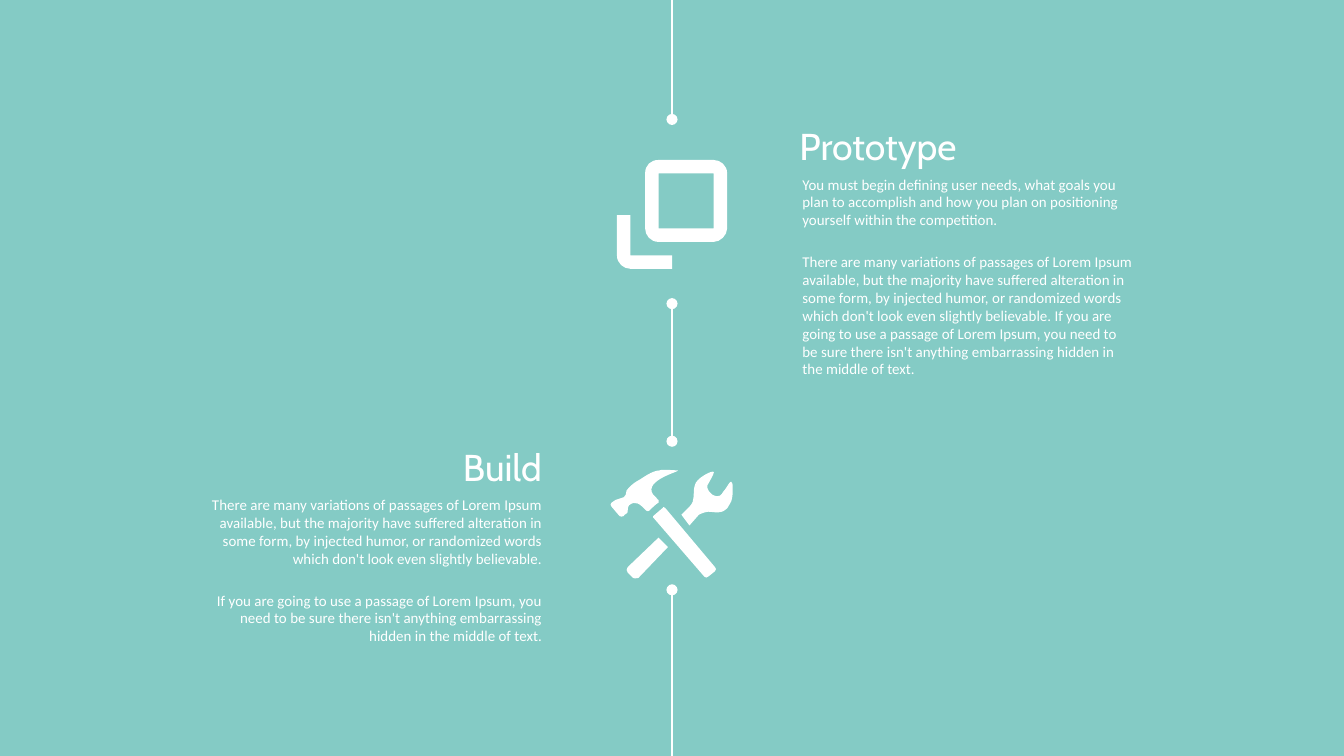
from lxml.etree import SubElement
from pptx import Presentation
from pptx.dml.color import RGBColor
from pptx.enum.shapes import MSO_CONNECTOR
from pptx.enum.text import MSO_ANCHOR, PP_ALIGN
from pptx.oxml.ns import qn
from pptx.util import Pt

TEAL = RGBColor(0x84, 0xCB, 0xC5)
WHITE = RGBColor(0xFF, 0xFF, 0xFF)
WIDE, HIGH, MID = 720, 405, 360

deck = Presentation()
deck.slide_width, deck.slide_height = Pt(WIDE), Pt(HIGH)
slide = deck.slides.add_slide(deck.slide_layouts[6])
slide.background.fill.solid()
slide.background.fill.fore_color.rgb = TEAL


def add_text(paras, left, top, width, height, font="Calibri", size=8,
             align=PP_ALIGN.LEFT, anchor=MSO_ANCHOR.TOP, gap=12.8):
    box = slide.shapes.add_textbox(Pt(left), Pt(top), Pt(width), Pt(height))
    frame = box.text_frame
    frame.word_wrap = True
    frame.vertical_anchor = anchor
    for i, text in enumerate(paras):
        para = frame.add_paragraph() if i else frame.paragraphs[0]
        para.text = text
        para.alignment = align
        para.font.name, para.font.size = font, Pt(size)
        para.font.color.rgb = WHITE
        if i:
            para.space_before = Pt(gap)


def add_icon(outlines):
    """Draw outlines given in 1/100 inch: pairs are corners, sixes are curves."""
    pen = None
    for start, *parts in outlines:
        if pen is None:
            pen = slide.shapes.build_freeform(*start, scale=Pt(72) / 100)
        else:
            pen.move_to(*start)
        dots = [part[i:i + 2] for part in parts for i in range(0, len(part), 2)]
        pen.add_line_segments(dots, close=True)
    icon = pen.convert_to_shape()
    icon.shadow.inherit = False
    icon.fill.solid()
    icon.fill.fore_color.rgb = WHITE
    icon.line.fill.background()

    # Join each three points of a curve into one Bezier step
    track = icon._element.find(".//" + qn("a:path"))
    steps = iter(track.findall(qn("a:lnTo")))
    for _, *parts in outlines:
        for part in parts:
            step = next(steps)
            if len(part) == 6:
                step.tag = qn("a:cubicBezTo")
                for extra in (next(steps), next(steps)):
                    step.append(extra[0])
                    track.remove(extra)


# Timeline with round ends
for top, end, tips in [(0, 64, ["tailEnd"]),
                       (162.7, 236.4, ["headEnd", "tailEnd"]),
                       (316, HIGH, ["headEnd"])]:
    line = slide.shapes.add_connector(
        MSO_CONNECTOR.STRAIGHT, Pt(MID), Pt(top), Pt(MID), Pt(end))
    line.line.color.rgb = WHITE
    line.line.width = Pt(0.75)
    stroke = line.line._get_or_add_ln()
    for tip in tips:
        SubElement(stroke, qn("a:" + tip), type="oval")
    SubElement(line._element.spPr, qn("a:effectLst"))

# Stacked squares icon
add_icon([
    [(531, 119), (490, 119), (484, 119, 480, 123, 480, 129), (480, 170),
     (480, 175, 484, 180, 490, 180), (531, 180),
     (536, 180, 541, 175, 541, 170), (541, 129),
     (541, 123, 536, 119, 531, 119)],
    [(531, 170), (490, 170), (490, 129), (531, 129)],
    [(469, 160), (459, 160), (459, 190), (459, 196, 464, 200, 469, 200),
     (500, 200), (500, 190), (469, 190)],
])

# Hammer and wrench icon: hammer head, hammer grip, wrench head, wrench grip
add_icon([
    [(468, 376), (473, 372, 476, 375, 481, 380), (482, 381, 482, 380, 483, 380),
     (483, 380, 489, 374, 490, 374), (490, 373, 490, 373, 490, 372),
     (489, 372, 488, 369, 486, 368), (478, 357, 509, 350, 504, 350),
     (502, 350, 492, 349, 491, 350), (485, 350, 478, 356, 474, 358),
     (469, 361, 467, 364, 467, 364), (465, 365, 467, 368, 464, 370),
     (462, 372, 460, 370, 458, 372), (455, 374),
     (454, 375, 454, 376, 455, 377), (461, 384),
     (462, 384, 463, 385, 464, 384), (464, 383, 467, 382, 467, 381),
     (467, 381, 467, 377, 468, 376)],
    [(495, 378), (494, 377, 493, 377, 493, 378), (486, 384),
     (486, 384, 486, 385, 486, 385), (524, 429),
     (525, 430, 526, 430, 527, 429), (532, 425),
     (533, 424, 533, 423, 532, 422)],
    [(545, 360), (545, 358, 543, 358, 543, 359), (542, 360, 540, 364, 538, 366),
     (537, 368, 535, 371, 530, 368), (525, 364, 526, 361, 527, 360),
     (528, 358, 531, 353, 531, 352), (532, 352, 531, 350, 530, 351),
     (528, 351, 518, 356, 517, 361), (515, 367, 518, 372, 513, 377),
     (507, 383), (513, 391), (520, 383), (522, 382, 526, 380, 530, 381),
     (537, 382, 541, 380, 543, 375), (546, 371, 545, 362, 545, 360)],
    [(467, 422), (466, 423, 466, 425, 467, 426), (471, 430),
     (472, 431, 473, 430, 475, 430), (497, 407), (490, 400)],
])

# Prototype step
title = dict(font="Cabin", size=20, anchor=MSO_ANCHOR.MIDDLE)
add_text(["Prototype"], 421.2, 60.5, 226.8, 34.6, **title)
add_text([
    "You must begin defining user needs, what goals you plan to accomplish and "
    "how you plan on positioning yourself within the competition.",
    "There are many variations of passages of Lorem Ipsum available, but the "
    "majority have suffered alteration in some form, by injected humor, or "
    "randomized words which don't look even slightly believable. If you are "
    "going to use a passage of Lorem Ipsum, you need to be sure there isn't "
    "anything embarrassing hidden in the middle of text.",
], 422.8, 90.3, 191.8, 120.2)

# Build step
add_text(["Build"], 70.6, 232.6, 226.8, 34.6, align=PP_ALIGN.RIGHT, **title)
add_text([
    "There are many variations of passages of Lorem Ipsum available, but the "
    "majority have suffered alteration in some form, by injected humor, or "
    "randomized words which don't look even slightly believable.",
    "If you are going to use a passage of Lorem Ipsum, you need to be sure "
    "there isn't anything embarrassing hidden in the middle of text.",
], 104.6, 262, 193, 43.9, align=PP_ALIGN.RIGHT)

deck.save("out.pptx")
